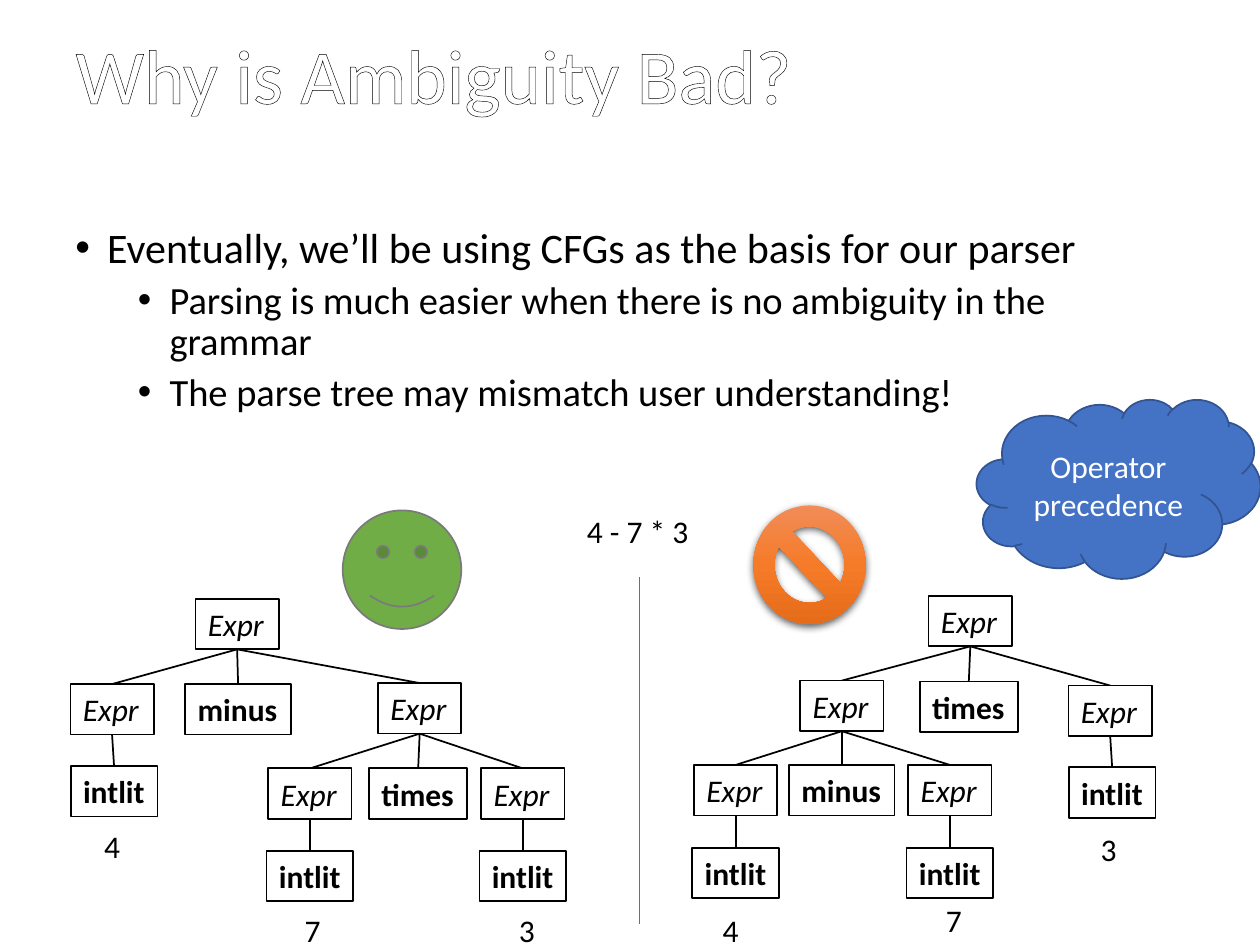
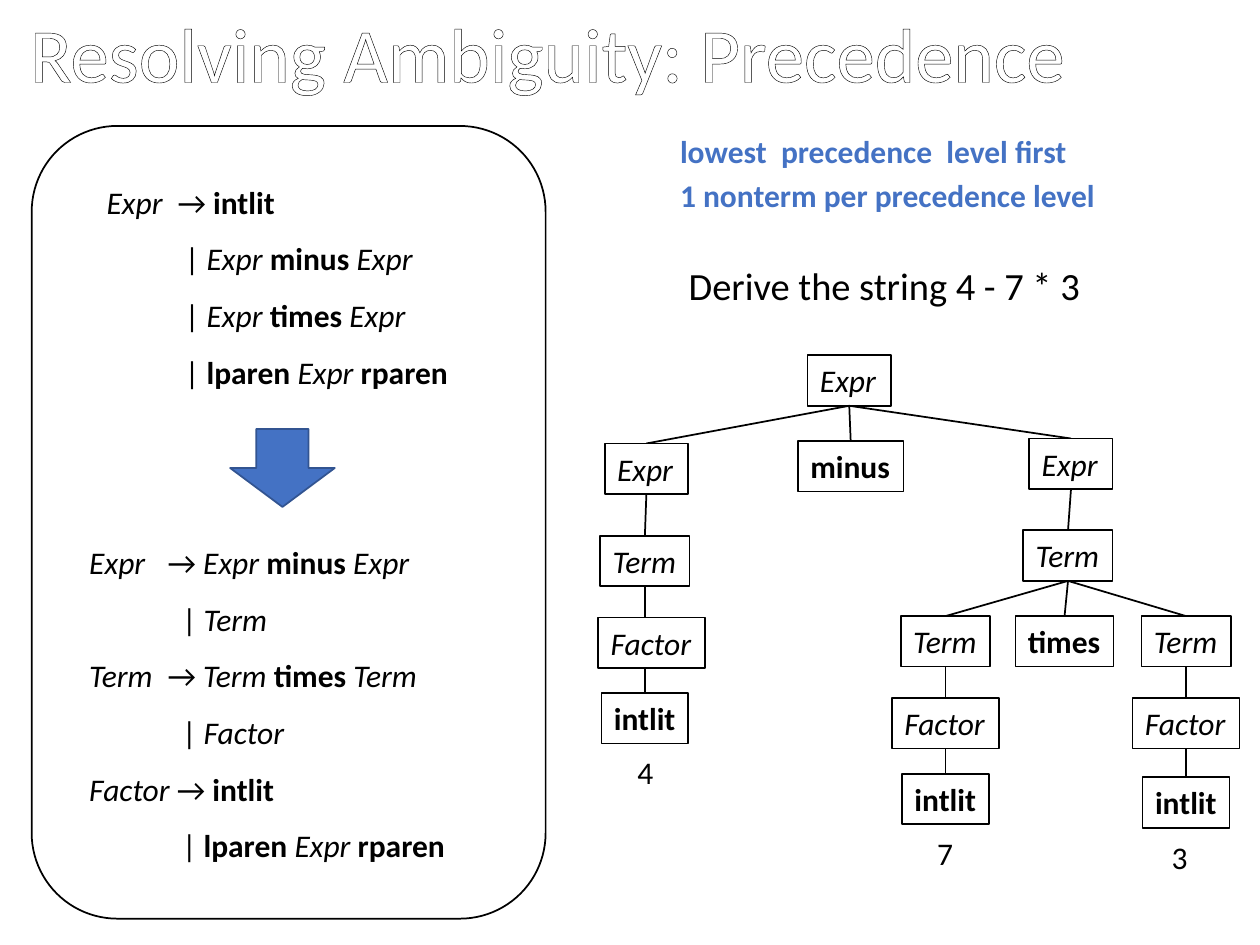
"""Two lecture slides on ambiguous grammars and operator precedence."""
from dataclasses import dataclass
from typing import Any

from lxml import etree
from pptx import Presentation
from pptx.dml.color import RGBColor
from pptx.enum import shapes, text
from pptx.oxml import parse_xml
from pptx.oxml.ns import nsdecls, qn
from pptx.util import Cm, Pt

FONT = "Calibri"
BLACK, WHITE = "000000", "FFFFFF"
BLUE, DARK_BLUE = "4472C4", "325491"
GREEN, GREY = "70AD47", "7A7A7A"
NODE_HEIGHT, DIGIT_WIDTH = 1.02, 0.84
NODE_WIDTHS = {"Expr": 1.68, "Term": 1.8, "Factor": 2.16,
               "minus": 2.13, "times": 1.98, "intlit": 1.75}
NONTERMINALS = {"Expr", "Term", "Factor"}
TERMINALS = {"minus", "times", "intlit", "lparen", "rparen"}
SHAPE, ALIGN, ANCHOR = shapes.MSO_SHAPE, text.PP_ALIGN, text.MSO_ANCHOR
FIT = {"word_wrap": False, "auto_size": text.MSO_AUTO_SIZE.SHAPE_TO_FIT_TEXT}
WRAP = {"word_wrap": True, "auto_size": text.MSO_AUTO_SIZE.NONE}


@dataclass(frozen=True)
class Box:
    """A place on the slide, in centimetres."""
    left: float
    top: float
    width: float
    height: float

    def lengths(self) -> list:
        """Return the four values as lengths."""
        return [Cm(v) for v in (self.left, self.top, self.width, self.height)]


@dataclass(frozen=True)
class Node:
    """A parse tree node; axis is where its branches meet it."""
    label: str
    axis: float
    top: float
    children: tuple = ()
    shift: float = 0

    @property
    def is_symbol(self) -> bool:
        """Tell a grammar symbol from a literal value."""
        return self.label in NODE_WIDTHS

    @property
    def box(self) -> Box:
        """Return the outline of the node."""
        width = NODE_WIDTHS.get(self.label, DIGIT_WIDTH)
        return Box(self.axis + self.shift - width / 2, self.top, width, NODE_HEIGHT)


@dataclass(frozen=True)
class Bullet:
    """One bulleted line of the body."""
    words: str
    size: float
    margin: float
    space_before: float


def apply(target: Any, values: dict) -> None:
    """Set each named attribute on the target."""
    for name, value in values.items():
        setattr(target, name, value)


def colour(hex_value: str) -> RGBColor:
    """Turn a hex string into a colour."""
    return RGBColor.from_string(hex_value)


def add_run(paragraph: Any, words: str, size: float = 18, ink: str = BLACK,
            bold: bool = False, italic: bool = False) -> Any:
    """Append formatted words to a paragraph."""
    run = paragraph.add_run()
    run.text = words
    apply(run.font, {"name": FONT, "size": Pt(size), "bold": bold, "italic": italic})
    run.font.color.rgb = colour(ink)
    return run


def add_symbols(paragraph: Any, words: str) -> None:
    """Write grammar symbols: nonterminals in italics, terminals in bold."""
    parts = words.split(" ")
    for index, part in enumerate(parts):
        name, tab, rest = part.partition("\t")
        add_run(paragraph, name, bold=name in TERMINALS, italic=name in NONTERMINALS)
        gap = " " if index < len(parts) - 1 else ""
        if tab + rest + gap:
            add_run(paragraph, tab + rest + gap)


def add_text(slide: Any, box: Box, fit: dict) -> Any:
    """Add an empty text box and return its text frame."""
    frame = slide.shapes.add_textbox(*box.lengths()).text_frame
    apply(frame, fit)
    return frame


def add_shape(slide: Any, kind: Any, box: Box, fill: str = WHITE,
              line: str = BLACK) -> Any:
    """Add a flat preset shape with a one-point outline."""
    shape = slide.shapes.add_shape(kind, *box.lengths())
    shape.shadow.inherit = False
    shape.fill.solid()
    shape.fill.fore_color.rgb = colour(fill)
    shape.line.color.rgb = colour(line)
    shape.line.width = Pt(1)
    return shape


def add_line(slide: Any, start: tuple, end: tuple, ink: str = BLACK,
             width: float = 1) -> None:
    """Draw a straight line between two points in centimetres."""
    ends = [Cm(v) for v in (*start, *end)]
    line = slide.shapes.add_connector(shapes.MSO_CONNECTOR.STRAIGHT, *ends)
    line.line.color.rgb = colour(ink)
    line.line.width = Pt(width)
    etree.SubElement(line._element.spPr, qn("a:effectLst"))


def add_tree(slide: Any, node: Node) -> None:
    """Draw a node, its branches and everything below it."""
    if node.is_symbol:
        frame = add_shape(slide, SHAPE.RECTANGLE, node.box).text_frame
        apply(frame, {**FIT, "vertical_anchor": ANCHOR.TOP})
        frame.paragraphs[0].alignment = ALIGN.LEFT
    else:
        frame = add_text(slide, node.box, FIT)
    add_symbols(frame.paragraphs[0], node.label)
    for child in node.children:
        if child.is_symbol:
            add_line(slide, (node.axis, node.top + NODE_HEIGHT), (child.axis, child.top))
        add_tree(slide, child)


def add_titled_slide(deck: Any, words: str, box: Box) -> Any:
    """Add a slide whose title is white with a thin black outline."""
    slide = deck.slides.add_slide(deck.slide_layouts[5])
    title = slide.shapes.title
    apply(title, dict(zip(("left", "top", "width", "height"), box.lengths())))
    apply(title.text_frame, {**WRAP, "vertical_anchor": ANCHOR.MIDDLE})
    paragraph = title.text_frame.paragraphs[0]
    apply(paragraph, {"alignment": ALIGN.LEFT, "line_spacing": 0.9})
    run = add_run(paragraph, words, 44, WHITE)
    run.font._element.insert(0, parse_xml(
        f'<a:ln {nsdecls("a")} w="12700"><a:solidFill><a:srgbClr val="{BLACK}"/>'
        '</a:solidFill></a:ln>'))
    return slide


def add_bullets(slide: Any, box: Box, bullets: list) -> None:
    """Write the bulleted body."""
    frame = add_text(slide, box, WRAP)
    for index, bullet in enumerate(bullets):
        paragraph = frame.add_paragraph() if index else frame.paragraphs[0]
        apply(paragraph, {"line_spacing": 0.9, "space_before": Pt(bullet.space_before)})
        add_run(paragraph, bullet.words, bullet.size)
        props = paragraph._p.get_or_add_pPr()
        props.set("marL", str(Cm(bullet.margin)))
        props.set("indent", str(-Cm(0.64)))
        etree.SubElement(props, qn("a:buFont")).set("typeface", "Arial")
        etree.SubElement(props, qn("a:buChar")).set("char", "•")


def add_grammar(slide: Any, box: Box, rules: list, arrow_at: float,
                bar_at: float) -> None:
    """Write grammar rules with arrows and alternatives aligned."""
    frame = add_text(slide, box, {**FIT, "word_wrap": True})
    for index, rule in enumerate(rules):
        paragraph = frame.add_paragraph() if index else frame.paragraphs[0]
        paragraph.line_spacing = 1.5
        props = paragraph._p.get_or_add_pPr()
        if rule.startswith("|"):
            props.set("marL", str(Cm(bar_at)))
        else:
            stops = etree.SubElement(props, qn("a:tabLst"))
            stop = etree.SubElement(stops, qn("a:tab"))
            stop.set("pos", str(Cm(arrow_at)))
            stop.set("algn", "l")
        add_symbols(paragraph, rule)


def add_wrong_sign(slide: Any, box: Box) -> None:
    """Draw the orange prohibition sign with gradient and soft shadow."""
    sign = add_shape(slide, SHAPE.NO_SYMBOL, box)
    sign.line.fill.background()
    props = sign._element.spPr
    stops = "".join(
        f'<a:gs pos="{place * 1000}"><a:srgbClr val="{ink}"/></a:gs>'
        for place, ink in ((0, "F18C57"), (50, "F67B28"), (100, "E56C19")))
    props.replace(props.find(qn("a:solidFill")), parse_xml(
        f'<a:gradFill {nsdecls("a")}><a:gsLst>{stops}</a:gsLst>'
        '<a:lin ang="5400000" scaled="0"/></a:gradFill>'))
    props.find(qn("a:effectLst")).append(parse_xml(
        f'<a:outerShdw {nsdecls("a")} blurRad="{Pt(4.5)}" dist="{Pt(1.5)}" '
        f'dir="5400000" rotWithShape="0"><a:srgbClr val="{BLACK}">'
        '<a:alpha val="63000"/></a:srgbClr></a:outerShdw>'))


def build_problem(deck: Any) -> None:
    """Build the slide that compares two parse trees of one string."""
    slide = add_titled_slide(deck, "Why is Ambiguity Bad?", Box(1.27, 0, 22.86, 3.18))
    add_bullets(slide, Box(1.27, 4.45, 22.86, 12.9), [
        Bullet("Eventually, we’ll be using CFGs as the basis for our parser", 24, 0.64, 10),
        Bullet("Parsing is much easier when there is no ambiguity in the grammar",
               22, 1.9, 5),
        Bullet("The parse tree may mismatch user understanding!", 22, 1.9, 5)])
    add_tree(slide, Node("Expr", 4.78, 12.07, (
        Node("Expr", 2.26, 13.79, (
            Node("intlit", 2.3, 15.44, (Node("4", 2.27, 16.54),)),)),
        Node("minus", 4.8, 13.79),
        Node("Expr", 8.46, 13.77, (
            Node("Expr", 6.25, 15.49, (
                Node("intlit", 6.25, 17.15, (Node("7", 6.31, 18.24),)),)),
            Node("times", 8.43, 15.49),
            Node("Expr", 10.54, 15.49, (
                Node("intlit", 10.54, 17.15, (Node("3", 10.63, 18.24),)),)))))))
    add_tree(slide, Node("Expr", 19.56, 12.01, (
        Node("Expr", 16.97, 13.72, (
            Node("Expr", 14.83, 15.42, (
                Node("intlit", 14.83, 17.09, (Node("4", 14.74, 18.24),)),)),
            Node("minus", 16.97, 15.42),
            Node("Expr", 19.15, 15.42, (
                Node("intlit", 19.15, 17.09, (Node("7", 19.24, 18.03),)),)))),
        Node("times", 19.53, 13.74),
        Node("Expr", 22.38, 13.82, (
            Node("intlit", 22.42, 15.47, (Node("3", 22.36, 16.61),)),)))))
    add_line(slide, (12.9, 11.63), (12.9, 18.62), BLUE, 0.5)
    derived = add_text(slide, Box(11.58, 10.19, 2.59, 1.02), FIT)
    add_run(derived.paragraphs[0], "4 - 7 * 3")
    add_wrong_sign(slide, Box(15.19, 10.19, 2.26, 2.39))
    add_shape(slide, SHAPE.SMILEY_FACE, Box(6.91, 10.29, 2.39, 2.39), GREEN, GREY)
    cloud = add_shape(slide, SHAPE.CLOUD, Box(19.69, 8.05, 5.72, 3.61), BLUE, DARK_BLUE)
    cloud.text_frame.word_wrap = True
    cloud.text_frame.paragraphs[0].alignment = ALIGN.CENTER
    add_run(cloud.text_frame.paragraphs[0], "Operator precedence", ink=WHITE)


def build_solution(deck: Any) -> None:
    """Build the slide that rewrites the grammar by precedence level."""
    slide = add_titled_slide(deck, "Resolving Ambiguity: Precedence",
                             Box(0.35, -0.43, 25.05, 3.18))
    add_shape(slide, SHAPE.ROUNDED_RECTANGLE, Box(0.64, 2.54, 10.36, 15.98))
    hints = add_text(slide, Box(13.46, 2.54, 8.99, 2.24), WRAP)
    for index, hint in enumerate(("lowest  precedence  level first",
                                  "1 nonterm per precedence level")):
        paragraph = hints.add_paragraph() if index else hints.paragraphs[0]
        paragraph.space_before = Pt(3.6)
        add_run(paragraph, hint, ink=BLUE, bold=True)
    add_grammar(slide, Box(1.9, 3.18, 8.26, 4.88), [
        "Expr\t→ intlit", "| Expr minus Expr", "| Expr times Expr",
        "| lparen Expr rparen"], 1.43, 1.58)
    add_grammar(slide, Box(1.55, 10.44, 8.26, 7.19), [
        "Expr\t→ Expr minus Expr", "| Term", "Term\t→ Term times Term",
        "| Factor", "Factor → intlit", "| lparen Expr rparen"], 1.58, 1.87)
    add_shape(slide, SHAPE.DOWN_ARROW, Box(4.64, 8.65, 2.11, 1.57), BLUE, DARK_BLUE)
    add_tree(slide, Node("Expr", 17.12, 7.16, (
        Node("Expr", 13.03, 8.94, (
            Node("Term", 13, 10.8, (
                Node("Factor", 13, 12.45, (
                    Node("intlit", 13, 13.97, (Node("4", 13.02, 15.06),)),),
                    shift=0.14),)),)),
        Node("minus", 17.15, 8.89),
        Node("Expr", 21.59, 8.84, (
            Node("Term", 21.53, 10.69, (
                Node("Term", 19.06, 12.42, (
                    Node("Factor", 19.06, 14.07, (
                        Node("intlit", 19.06, 15.6, (Node("7", 19.06, 16.69),)),)),)),
                Node("times", 21.46, 12.42),
                Node("Term", 23.91, 12.42, (
                    Node("Factor", 23.91, 14.07, (
                        Node("intlit", 23.91, 15.67, (Node("3", 23.79, 16.76),)),)),
                )))),)))))
    task = add_text(slide, Box(13.59, 5.16, 8.48, 1.19), FIT)
    task.paragraphs[0].alignment = ALIGN.CENTER
    add_run(task.paragraphs[0], "Derive the string 4 - 7 * 3", 22)


presentation = Presentation()
apply(presentation, {"slide_width": Cm(25.4), "slide_height": Cm(19.05)})
build_problem(presentation)
build_solution(presentation)
presentation.save("out.pptx")
